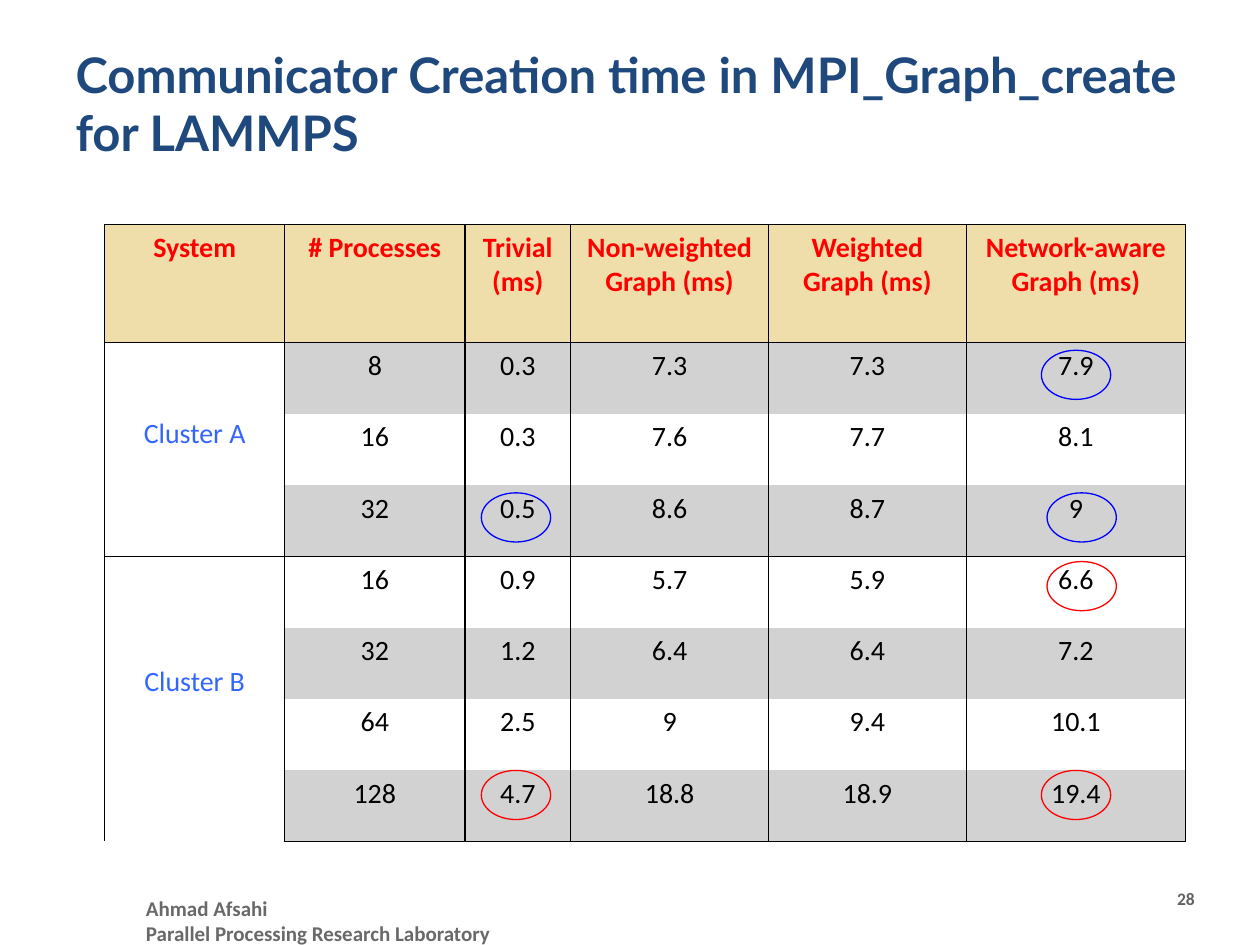
from itertools import accumulate

from lxml import etree
from pptx import Presentation
from pptx import util as u
from pptx.dml.color import RGBColor
from pptx.enum import shapes, text
from pptx.oxml import ns

COLORS = {
    "title": "1F497D", "footer": "696969", "number": "616161",
    "head": "FF0000", "head_fill": "EFDEA9", "cluster": "3366FF",
    "ink": "000000", "band": "D2D2D2", "plain": "FFFFFF",
    "blue_mark": "0000FF", "red_mark": "FF0000",
}
GRID_COLUMNS, GRID_ROWS = 100, 75
UNIT = u.Inches(10) // GRID_COLUMNS

HEADINGS = ["System", "# Processes", "Trivial (ms)", "Non-weighted Graph (ms)",
            "Weighted Graph (ms)", "Network-aware Graph (ms)"]
CLUSTERS = {
    "Cluster A": [["8", "0.3", "7.3", "7.3", "7.9"],
                  ["16", "0.3", "7.6", "7.7", "8.1"],
                  ["32", "0.5", "8.6", "8.7", "9"]],
    "Cluster B": [["16", "0.9", "5.7", "5.9", "6.6"],
                  ["32", "1.2", "6.4", "6.4", "7.2"],
                  ["64", "2.5", "9", "9.4", "10.1"],
                  ["128", "4.7", "18.8", "18.9", "19.4"]],
}
TABLE_BOX = (8.3, 17.8, 85.8, 49)
COLUMN_WIDTHS = [14.3, 14.3, 8.4, 15.7, 15.7, 17.4]
HEAD_HEIGHT = 9.4
ROW_HEIGHT = (TABLE_BOX[3] - HEAD_HEIGHT) / sum(map(len, CLUSTERS.values()))
LINE_HEIGHT = 2.71
MARKS = [
    ("red_mark", 7, 2, -0.15, 0), ("red_mark", 7, 5, 0, 0),
    ("blue_mark", 3, 5, 0.45, 0.6), ("blue_mark", 3, 2, -0.15, 0.6),
    ("blue_mark", 1, 5, 0, 0.6), ("red_mark", 4, 5, 0.45, 0.4),
]


def grid(length):
    """Turn grid steps into a slide length."""
    return u.Emu(round(length * UNIT))


def color(name):
    """Look up a colour by its role."""
    return RGBColor.from_string(COLORS[name])


def add_span(para, words, font, size, ink, bold=False):
    """Add one formatted run to a paragraph."""
    span = para.add_run()
    span.text = words
    span.font.name, span.font.size, span.font.bold = font, u.Pt(size), bold
    span.font.color.rgb = color(ink)


def add_title(page, box):
    """Place and fill the title placeholder."""
    title = page.shapes.title
    title.left, title.top, title.width, title.height = map(grid, box)
    frame = title.text_frame
    frame.word_wrap = True
    frame.auto_size = text.MSO_AUTO_SIZE.NONE
    frame.vertical_anchor = text.MSO_ANCHOR.TOP
    para = frame.paragraphs[0]
    para.alignment = text.PP_ALIGN.LEFT
    add_span(para, "Communicator Creation time in MPI_Graph_create for LAMMPS",
             "Lato", 28, "title", True)


def add_note(page, box, lines, size, ink, align=text.PP_ALIGN.LEFT):
    """Add a bold text box with one paragraph for each line."""
    frame = page.shapes.add_textbox(*map(grid, box)).text_frame
    frame.word_wrap = True
    for index, line in enumerate(lines):
        para = frame.add_paragraph() if index else frame.paragraphs[0]
        para.alignment = align
        add_span(para, line, "Calibri", size, ink, True)


def set_borders(cell, sides):
    """Draw the named sides of a cell and clear the others."""
    properties = cell._tc.get_or_add_tcPr()
    for index, side in enumerate("LRTB"):
        line = etree.Element(ns.qn(f"a:ln{side}"), w=str(u.Pt(1)))
        if side in sides:
            fill = etree.SubElement(line, ns.qn("a:solidFill"))
            etree.SubElement(fill, ns.qn("a:srgbClr"), val=COLORS["ink"])
        else:
            etree.SubElement(line, ns.qn("a:noFill"))
        properties.insert(index, line)


def fill_cell(cell, words, ink, fill, sides="LRTB", bold=False):
    """Write, fill and border one table cell."""
    para = cell.text_frame.paragraphs[0]
    para.alignment = text.PP_ALIGN.CENTER
    if words:
        add_span(para, words, "Calibri", 16, ink, bold)
    cell.fill.solid()
    cell.fill.fore_color.rgb = color(fill)
    set_borders(cell, sides)


def add_cluster(table, first, name, records):
    """Fill the rows of one cluster and merge its name cell."""
    last = first + len(records) - 1
    for row, record in enumerate(records, first):
        sides = "LR" + "T" * (row == first) + "B" * (row == last)
        fill_cell(table.cell(row, 0), name if row == first else "",
                  "cluster", "plain", sides)
        for column, value in enumerate(record, 1):
            fill_cell(table.cell(row, column), value, "ink",
                      "band" if row % 2 else "plain", sides)
    label = table.cell(first, 0)
    label.merge(table.cell(last, 0))
    label.margin_top = grid(0.5 + (len(records) - 1) * LINE_HEIGHT)


def add_timings(page, box):
    """Build the table of creation times."""
    row_count = 1 + sum(map(len, CLUSTERS.values()))
    table = page.shapes.add_table(row_count, len(HEADINGS), *map(grid, box)).table
    table.first_row = table.horz_banding = False
    for column, width in zip(table.columns, COLUMN_WIDTHS):
        column.width = grid(width)
    for index, row in enumerate(table.rows):
        row.height = grid(ROW_HEIGHT if index else HEAD_HEIGHT)
    for column, heading in enumerate(HEADINGS):
        fill_cell(table.cell(0, column), heading, "head", "head_fill", bold=True)
    first = 1
    for name, records in CLUSTERS.items():
        add_cluster(table, first, name, records)
        first += len(records)


def add_marks(page, box, width=5.5, height=3.9):
    """Ring the chosen values of the table in the given box."""
    left, top = box[:2]
    edges = list(accumulate(COLUMN_WIDTHS, initial=left))
    for ink, row, column, shift, drop in MARKS:
        middle = edges[column] + COLUMN_WIDTHS[column] / 2
        row_top = top + HEAD_HEIGHT + (row - 1) * ROW_HEIGHT
        place = (middle - width / 2 + shift, row_top + drop, width, height)
        ring = page.shapes.add_shape(shapes.MSO_SHAPE.OVAL, *map(grid, place))
        ring.shadow.inherit = False
        ring.fill.background()
        ring.line.color.rgb = color(ink)
        ring.line.width = u.Pt(0.75)


def main():
    """Build and save the deck."""
    deck = Presentation()
    deck.slide_width, deck.slide_height = grid(GRID_COLUMNS), grid(GRID_ROWS)
    page = deck.slides.add_slide(deck.slide_layouts[5])
    add_note(page, (10.6, 70.6, 32.5, 4.4),
             ["Ahmad Afsahi", "Parallel Processing Research Laboratory"], 12, "footer")
    add_note(page, (79.7, 70, 16.1, 4.2), ["28"], 10, "number", text.PP_ALIGN.RIGHT)
    add_title(page, (5, 3, 90, 8.7))
    add_timings(page, TABLE_BOX)
    add_marks(page, TABLE_BOX)
    deck.save("out.pptx")


if __name__ == "__main__":
    main()
